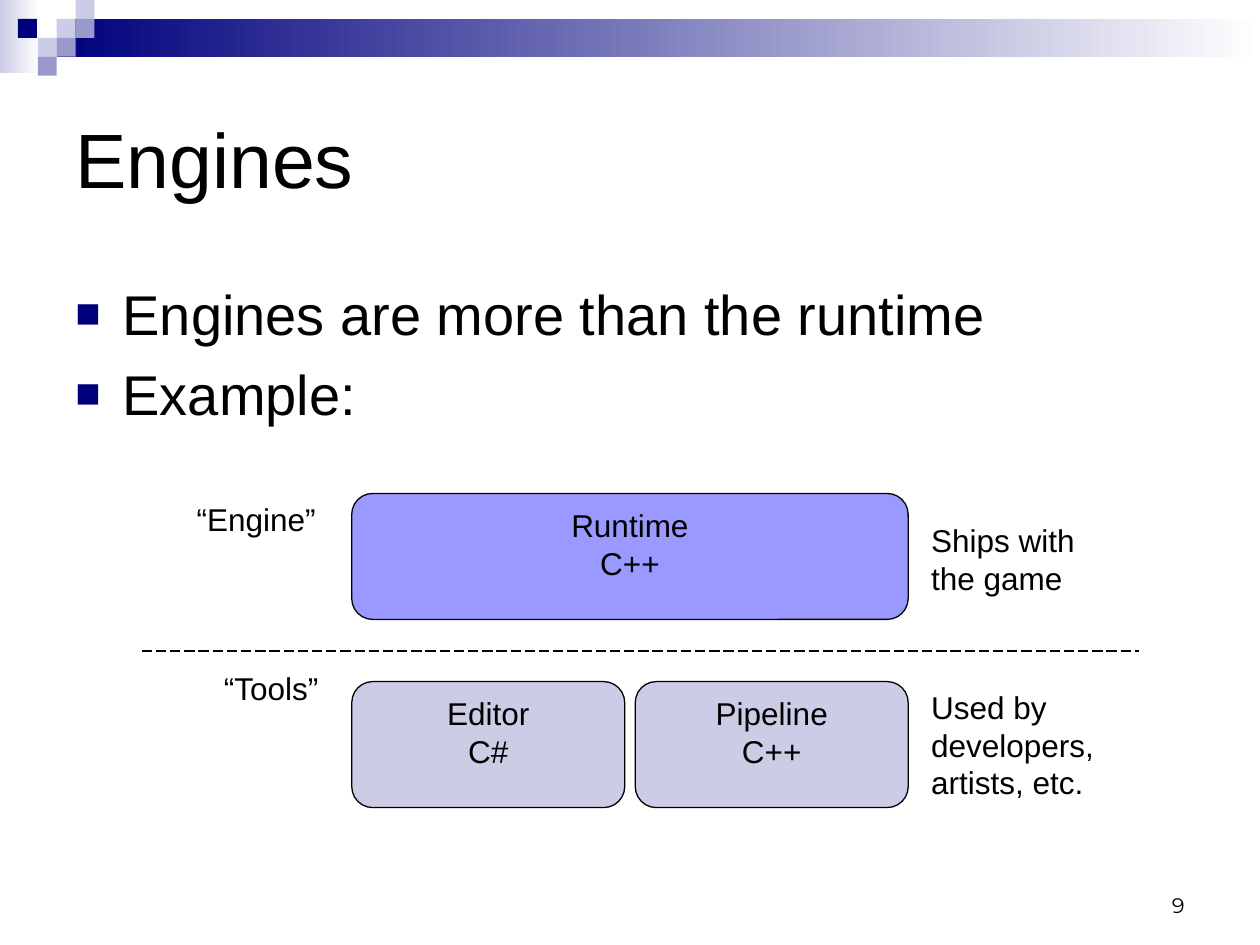
from dataclasses import dataclass

from lxml import etree
from pptx import Presentation
from pptx.dml.color import RGBColor
from pptx.enum import dml, shapes, text
from pptx.oxml import ns
from pptx.util import Pt


@dataclass(frozen=True)
class Theme:
    font: str = "Arial"
    number_font: str = "Montserrat"
    ink: str = "000000"
    paper: str = "FFFFFF"
    navy: str = "00007D"
    slate: str = "9999CC"
    pale: str = "CCCCE6"
    runtime: str = "9999FF"
    title: int = 44
    body: int = 32
    label: int = 18
    number: int = 12
    line: float = 0.75


THEME = Theme()
TILE = 10.8


def rgb(code):
    return RGBColor.from_string(code)


def write(frame, words, size=THEME.label, font=THEME.font,
          align=text.PP_ALIGN.LEFT, anchor=text.MSO_ANCHOR.TOP, before=0):
    """Fill a text frame, one paragraph for each line of words."""
    frame.word_wrap = True
    frame.vertical_anchor = anchor
    frame.text = words
    for paragraph in frame.paragraphs:
        paragraph.alignment = align
        paragraph.space_before = Pt(before)
        run_font = paragraph.runs[0].font
        run_font.name, run_font.size = font, Pt(size)
        run_font.color.rgb = rgb(THEME.ink)
    return frame


def add_text(slide, words, left, top, width, height, **look):
    area = slide.shapes.add_textbox(Pt(left), Pt(top), Pt(width), Pt(height))
    return write(area.text_frame, words, **look)


def add_bullets(frame):
    for paragraph in frame.paragraphs:
        properties = paragraph._p.get_or_add_pPr()
        properties.set("marL", str(Pt(27)))
        properties.set("indent", str(-Pt(27)))
        color = etree.SubElement(properties, ns.qn("a:buClr"))
        etree.SubElement(color, ns.qn("a:srgbClr"), val=THEME.navy)
        etree.SubElement(properties, ns.qn("a:buSzPct"), val="75000")
        etree.SubElement(properties, ns.qn("a:buFont"), typeface=THEME.font)
        etree.SubElement(properties, ns.qn("a:buChar"), char="■")


def add_block(slide, left, top, width, height, color, fade=False,
              kind=shapes.MSO_SHAPE.RECTANGLE):
    """Add a borderless shape, plain or fading to the paper colour."""
    block = slide.shapes.add_shape(kind, Pt(left), Pt(top), Pt(width), Pt(height))
    block.shadow.inherit = False
    block.line.fill.background()
    if fade:
        block.fill.gradient()
        block.fill.gradient_angle = 0
        for stop, shade in zip(block.fill.gradient_stops, (color, THEME.paper)):
            stop.color.rgb = rgb(shade)
    else:
        block.fill.solid()
        block.fill.fore_color.rgb = rgb(color)
    return block


def add_component(slide, words, left, top, width, color):
    component = add_block(slide, left, top, width, 72, color,
                          kind=shapes.MSO_SHAPE.ROUNDED_RECTANGLE)
    component.line.color.rgb = rgb(THEME.ink)
    component.line.width = Pt(THEME.line)
    write(component.text_frame, words, align=text.PP_ALIGN.CENTER)


def add_divider(slide, left, right, y):
    divider = slide.shapes.add_connector(
        shapes.MSO_CONNECTOR.STRAIGHT, Pt(left), Pt(y), Pt(right), Pt(y))
    divider.line.color.rgb = rgb(THEME.ink)
    divider.line.width = Pt(THEME.line)
    divider.line.dash_style = dml.MSO_LINE.LONG_DASH
    etree.SubElement(divider._element.spPr, ns.qn("a:effectLst"))


def add_header(slide):
    add_block(slide, 0, 0, 22.5, 42, THEME.pale, fade=True)
    add_block(slide, 32.4, TILE, 687.6, 2 * TILE, THEME.navy, fade=True)
    # Tiles by column and row; the navy one stands slightly apart
    tiles = [(3, 1, THEME.pale), (4, 0, THEME.pale), (4, 1, THEME.slate),
             (2, 2, THEME.pale), (0.95, 1, THEME.navy), (3, 2, THEME.slate),
             (2, 3, THEME.slate)]
    for column, row, color in tiles:
        add_block(slide, column * TILE, row * TILE, TILE, TILE, color)


def add_diagram(slide):
    left, width, gap = 201, 318, 6
    engine_top, tools_top = 282, 389.5
    half = (width - gap) / 2

    # Components
    add_component(slide, "Runtime\nC++", left, engine_top, width, THEME.runtime)
    for place, words in enumerate(("Editor\nC#", "Pipeline\nC++")):
        add_component(slide, words, left + place * (half + gap), tools_top,
                      half, THEME.pale)

    # Audience on the right
    add_text(slide, "Ships with the game", 525, 294, 120, 51)
    add_text(slide, "Used by developers, artists, etc.", 525, tools_top, 120, 72.7)

    # Layer names on the left, with the line between the layers
    add_text(slide, "“Engine”", 67.5, engine_top, 120, 29,
             align=text.PP_ALIGN.RIGHT)
    add_text(slide, "“Tools”", 69, 378.5, 120, 29, align=text.PP_ALIGN.RIGHT)
    add_divider(slide, 81, 651, 372)


def main():
    deck = Presentation()
    deck.slide_width, deck.slide_height = Pt(720), Pt(540)
    slide = deck.slides.add_slide(deck.slide_layouts[6])

    add_header(slide)

    # Title and main points
    add_text(slide, "Engines", 36, 36, 648, 108, size=THEME.title,
             anchor=text.MSO_ANCHOR.MIDDLE)
    points = add_text(slide, "Engines are more than the runtime\nExample:",
                      36, 156, 648, 96, size=THEME.body, before=7.4)
    add_bullets(points)

    add_diagram(slide)

    # Slide number
    add_text(slide, "9", 516, 492, 168, 36, size=THEME.number,
             font=THEME.number_font, align=text.PP_ALIGN.RIGHT,
             anchor=text.MSO_ANCHOR.BOTTOM)
    deck.save("out.pptx")


if __name__ == "__main__":
    main()
